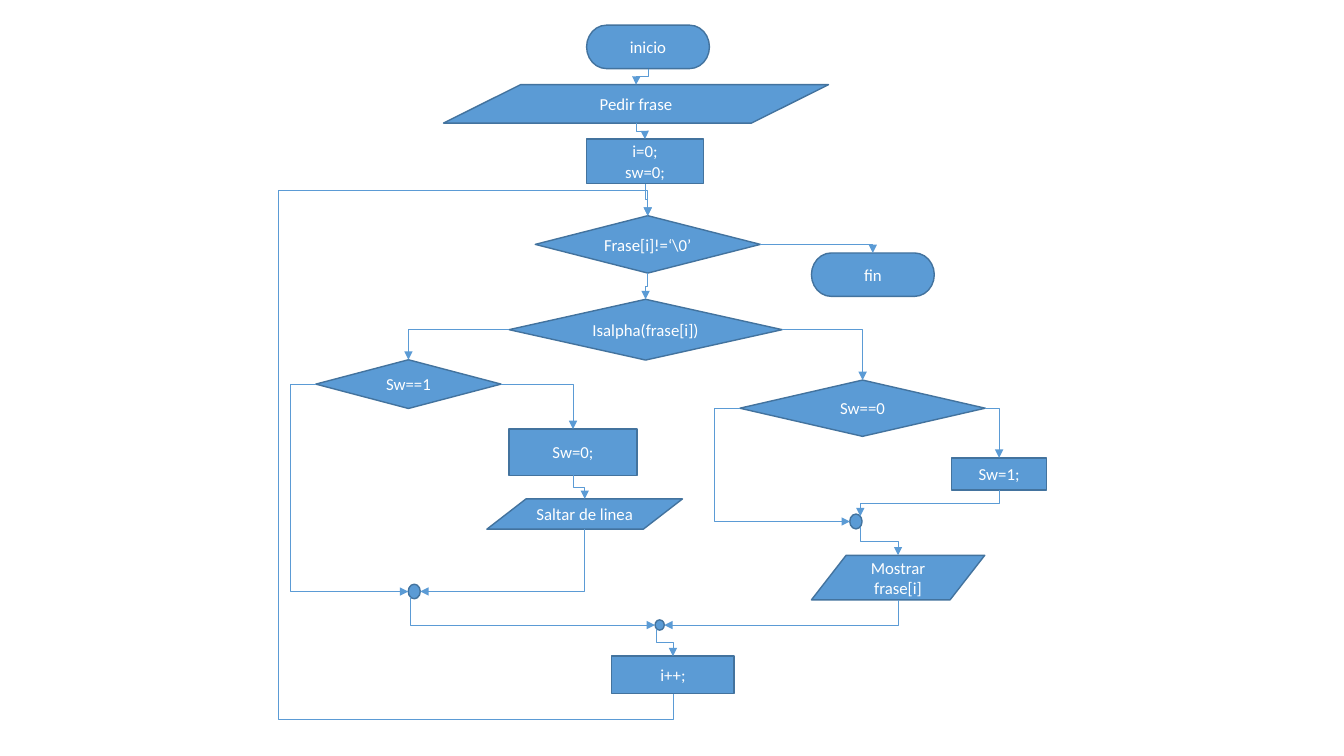
from dataclasses import dataclass

from lxml.etree import SubElement
from pptx import Presentation
from pptx.dml.color import RGBColor
from pptx.enum.shapes import MSO_CONNECTOR, MSO_SHAPE
from pptx.enum.text import MSO_ANCHOR, PP_ALIGN
from pptx.oxml.ns import qn
from pptx.util import Pt

SITES = {
    "top": (0.5, 0), "bottom": (0.5, 1), "left": (0, 0.5), "right": (1, 0.5),
    "upper_right": (0.854, 0.146), "lower_right": (0.854, 0.854), "lower_left": (0.146, 0.854),
}
HEADINGS = {"right": 0, "left": 180}
BOX_SITES = {"top": 0, "left": 1, "bottom": 2, "right": 3}
DATA_SITES = {"top": 1, "bottom": 4}
JOINT_SITES = {"top": 0, "left": 2, "lower_left": 3, "bottom": 4, "lower_right": 5, "right": 6, "upper_right": 7}


@dataclass(frozen=True)
class Theme:
    """Colours, type and line weights of the flowchart."""

    fill: RGBColor = RGBColor(0x5B, 0x9B, 0xD5)
    outline: RGBColor = RGBColor(0x43, 0x73, 0x9E)
    text: RGBColor = RGBColor(0xFF, 0xFF, 0xFF)
    font: str = "Calibri"
    size: float = 12
    outline_width: float = 1
    arrow_width: float = 0.5


class Flowchart:
    """Draws flowchart steps and the arrows between them on one slide."""

    def __init__(self, slide, theme):
        """Keep the slide and its theme."""
        self.slide = slide
        self.theme = theme

    def step(self, symbol, left, top, width, height, *lines):
        """Add a flowchart symbol with one paragraph per line."""
        step = self.slide.shapes.add_shape(symbol, Pt(left), Pt(top), Pt(width), Pt(height))
        step.shadow.inherit = False
        step.fill.solid()
        step.fill.fore_color.rgb = self.theme.fill
        step.line.color.rgb = self.theme.outline
        step.line.width = Pt(self.theme.outline_width)
        frame = step.text_frame
        frame.word_wrap = True
        frame.vertical_anchor = MSO_ANCHOR.MIDDLE
        for number, line in enumerate(lines):
            paragraph = frame.add_paragraph() if number else frame.paragraphs[0]
            paragraph.alignment = PP_ALIGN.CENTER
            run = paragraph.add_run()
            run.text = line
            run.font.name = self.theme.font
            run.font.size = Pt(self.theme.size)
            run.font.color.rgb = self.theme.text
        return step

    def site(self, step, side):
        """Return a connection site's place in points and its index."""
        across, down = SITES[side]
        indexes = {MSO_SHAPE.FLOWCHART_DATA: DATA_SITES, MSO_SHAPE.FLOWCHART_CONNECTOR: JOINT_SITES}
        x = step.left.pt + across * step.width.pt
        y = step.top.pt + down * step.height.pt
        return x, y, indexes.get(step.auto_shape_type, BOX_SITES)[side]

    def arrow(self, source, exit_side, target, entry_side, *bends):
        """Join two steps by an elbow arrow; bends are distances along its own axes."""
        x1, y1, exit_index = self.site(source, exit_side)
        x2, y2, entry_index = self.site(target, entry_side)
        heading = HEADINGS.get(exit_side, 90)
        dx, dy = x2 - x1, y2 - y1
        along, aside = {0: (dx, dy), 90: (dy, -dx), 180: (-dx, -dy)}[heading]
        ratios = [bend / (aside if number % 2 else along) for number, bend in enumerate(bends)]
        if heading == 90 and aside < 0:
            heading, along, aside = 270, -along, -aside
        turns = (heading - HEADINGS.get(entry_side, 90)) % 180 != 0
        kind = 2 if turns else max(3, len(bends) + 2)

        mid_x, mid_y = (x1 + x2) / 2, (y1 + y2) / 2
        arrow = self.slide.shapes.add_connector(
            MSO_CONNECTOR.ELBOW,
            Pt(mid_x - along / 2), Pt(mid_y - aside / 2),
            Pt(mid_x + along / 2), Pt(mid_y + aside / 2),
        )
        arrow.line.color.rgb = self.theme.fill
        arrow.line.width = Pt(self.theme.arrow_width)
        element = arrow._element
        ends = element.find(".//" + qn("p:cNvCxnSpPr"))
        for tag, step, index in (("a:stCxn", source, exit_index), ("a:endCxn", target, entry_index)):
            SubElement(ends, qn(tag), id=str(step.shape_id), idx=str(index))
        properties = element.spPr
        if heading:
            properties.find(qn("a:xfrm")).set("rot", str(heading * 60000))
        geometry = properties.find(qn("a:prstGeom"))
        geometry.set("prst", f"bentConnector{kind}")
        guides = geometry.find(qn("a:avLst"))
        for number, ratio in enumerate(ratios, 1):
            SubElement(guides, qn("a:gd"), name=f"adj{number}", fmla=f"val {round(ratio * 100000)}")
        SubElement(properties.find(qn("a:ln")), qn("a:tailEnd"), type="triangle")
        SubElement(properties, qn("a:effectLst"))


def main():
    """Build the flowchart slide and save it."""
    deck = Presentation()
    deck.slide_width, deck.slide_height = Pt(960), Pt(540)
    chart = Flowchart(deck.slides.add_slide(deck.slide_layouts[6]), Theme())
    terminal, data = MSO_SHAPE.FLOWCHART_TERMINATOR, MSO_SHAPE.FLOWCHART_DATA
    process, decision = MSO_SHAPE.FLOWCHART_PROCESS, MSO_SHAPE.FLOWCHART_DECISION
    joint = MSO_SHAPE.FLOWCHART_CONNECTOR

    start = chart.step(terminal, 419, 18, 87.8, 31, "inicio")
    ask_phrase = chart.step(data, 316.8, 60.5, 275, 27.4, "Pedir frase")
    reset = chart.step(process, 419, 99.4, 83.5, 31.7, "i=0;", "sw=0;")
    more_text = chart.step(decision, 382.3, 154.1, 160.8, 41, "Frase[i]!=‘\\0’")
    is_letter = chart.step(decision, 363.6, 213.8, 195.1, 43.4, "Isalpha(frase[i])")
    outside_word = chart.step(decision, 528.5, 271.5, 175.3, 40.2, "Sw==0")
    enter_word = chart.step(process, 679.7, 327, 67.9, 23, "Sw=1;")
    inside_word = chart.step(decision, 225.6, 257, 132.3, 34.8, "Sw==1")
    leave_word = chart.step(process, 363.6, 306.5, 91.4, 33.1, "Sw=0;")
    new_line = chart.step(data, 347.8, 356.4, 139.7, 21.6, "Saltar de linea")
    letter_joint = chart.step(joint, 607, 367.2, 8.8, 10.6)
    other_joint = chart.step(joint, 291.6, 417.3, 8.6, 10.4)
    final_joint = chart.step(joint, 467.9, 442.8, 6.6, 7.3)
    increment = chart.step(MSO_SHAPE.RECTANGLE, 437, 468.7, 87.4, 26.8, "i++;")
    finish = chart.step(terminal, 579.6, 180.7, 87.8, 31, "fin")
    show_letter = chart.step(data, 579.6, 396.7, 123.8, 31.8, "Mostrar frase[i]")

    for route in (
        (start, "bottom", ask_phrase, "top"),
        (ask_phrase, "bottom", reset, "top"),
        (reset, "bottom", more_text, "top"),
        (more_text, "bottom", is_letter, "top"),
        (more_text, "right", finish, "top"),
        (is_letter, "left", inside_word, "top"),
        (is_letter, "right", outside_word, "top"),
        (outside_word, "right", enter_word, "top"),
        (outside_word, "left", letter_joint, "left", 18),
        (enter_word, "bottom", letter_joint, "upper_right"),
        (letter_joint, "lower_right", show_letter, "top"),
        (inside_word, "right", leave_word, "top"),
        (inside_word, "left", other_joint, "left", 18),
        (leave_word, "bottom", new_line, "top"),
        (new_line, "bottom", other_joint, "right"),
        (other_joint, "lower_left", final_joint, "left"),
        (show_letter, "bottom", final_joint, "right"),
        (final_joint, "lower_left", increment, "top"),
        (increment, "bottom", more_text, "top", 18, 281.6, -359.4),
    ):
        chart.arrow(*route)
    deck.save("out.pptx")


if __name__ == "__main__":
    main()
